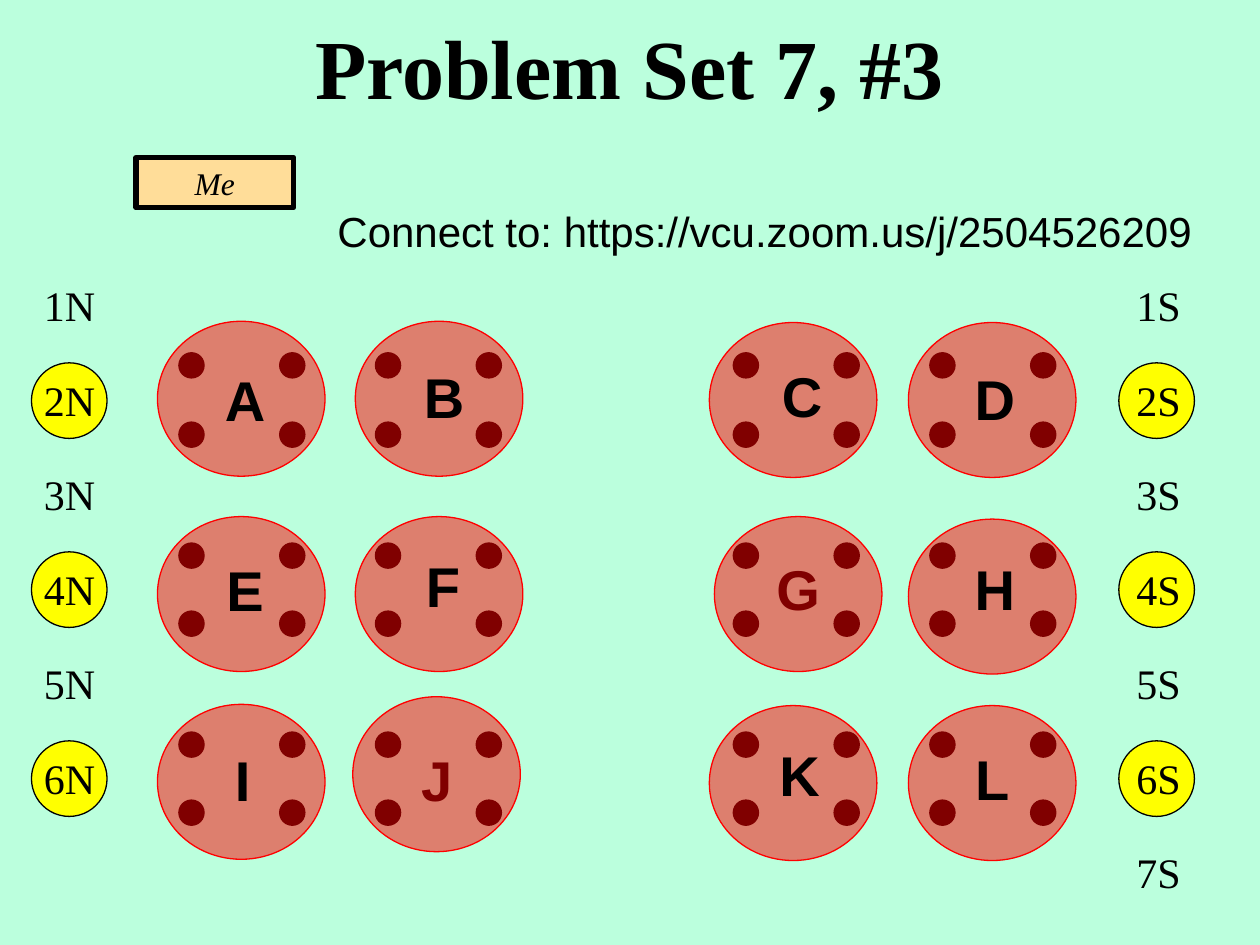
import dataclasses
import itertools

import lxml.etree
import pptx
import pptx.dml.color
import pptx.enum.shapes
import pptx.enum.text
import pptx.oxml.ns
import pptx.util

Inches = pptx.util.Inches
Pt = pptx.util.Pt
Shape = pptx.enum.shapes.MSO_SHAPE
Align = pptx.enum.text.PP_ALIGN
Anchor = pptx.enum.text.MSO_ANCHOR


@dataclasses.dataclass(frozen=True)
class Theme:
    back: str = "BBFFDD"
    ink: str = "000000"
    seat: str = "FFFF00"
    desk: str = "FFDD99"
    table: str = "FF0000"
    serif: str = "Times New Roman"
    sans: str = "Arial"
    title: int = 48
    letter: int = 32
    label: int = 24
    small: int = 18
    thin: float = 0.75
    thick: float = 3


def tint(code):
    return pptx.dml.color.RGBColor.from_string(code)


def write(shape, text, *, face, size, color, bold=False, slant=False,
          align=Align.LEFT, anchor=Anchor.TOP):
    frame = shape.text_frame
    frame.word_wrap = True
    frame.vertical_anchor = anchor
    para = frame.paragraphs[0]
    para.alignment = align
    run = para.add_run()
    run.text = text
    font = run.font
    font.name = face
    font.size = Pt(size)
    font.bold = bold
    font.italic = slant
    font.color.rgb = tint(color)


class Board:
    def __init__(self, slide, theme):
        self.slide = slide
        self.theme = theme
        fill = slide.background.fill
        fill.solid()
        fill.fore_color.rgb = tint(theme.back)

    def form(self, kind, box, fill, line, width, alpha=None):
        shape = self.slide.shapes.add_shape(kind, *map(Inches, box))
        shape.shadow.inherit = False
        shape.fill.solid()
        shape.fill.fore_color.rgb = tint(fill)
        shape.line.color.rgb = tint(line)
        shape.line.width = Pt(width)
        if alpha is not None:
            name = pptx.oxml.ns.qn
            color = shape._element.spPr.find(
                name("a:solidFill") + "/" + name("a:srgbClr"))
            lxml.etree.SubElement(color, name("a:alpha"), val=str(alpha * 1000))
        return shape

    def text(self, box, words, **style):
        shape = self.slide.shapes.add_textbox(*map(Inches, box))
        write(shape, words, **{"color": self.theme.ink, **style})

    def seat(self, left, top):
        t = self.theme
        self.form(Shape.OVAL, (left, top, 0.6, 0.6), t.seat, t.ink, t.thin)

    def dot(self, left, top):
        t = self.theme
        self.form(Shape.OVAL, (left, top, 0.2, 0.2), t.ink, t.ink, t.thin)

    def table(self, left, top):
        t = self.theme
        self.form(Shape.OVAL, (left, top, 1.33, 1.23), t.table, t.table,
                  t.thin, alpha=50)

    def letter(self, left, top, mark):
        t = self.theme
        self.text((left, top, 0.89, 0.64), mark, face=t.sans, size=t.letter,
                  bold=True, align=Align.CENTER)

    def label(self, left, top, words, width=0.67, face=None):
        t = self.theme
        self.text((left, top, width, 0.5), words, face=face or t.serif,
                  size=t.label)

    def desk(self, box, words):
        t = self.theme
        shape = self.form(Shape.RECTANGLE, box, t.desk, t.ink, t.thick)
        write(shape, words, face=t.serif, size=t.small, color=t.ink,
              slant=True, align=Align.CENTER, anchor=Anchor.MIDDLE)

    def title(self, box, words):
        t = self.theme
        self.text(box, words, face=t.serif, size=t.title, bold=True,
                  align=Align.CENTER)


TABLES = {
    "A": (1.25, 2.55), "B": (2.82, 2.55), "C": (5.63, 2.56), "D": (7.21, 2.56),
    "E": (1.25, 4.1), "F": (2.82, 4.1), "G": (5.67, 4.1), "H": (7.21, 4.12),
    "I": (1.25, 5.59), "J": (2.8, 5.53), "K": (5.63, 5.6), "L": (7.21, 5.6),
}
LETTERS = {
    "A": (1.5, 2.85), "B": (3.08, 2.83), "C": (5.92, 2.82), "D": (7.45, 2.84),
    "E": (1.5, 4.36), "F": (3.07, 4.33), "G": (5.89, 4.35), "H": (7.45, 4.35),
    "I": (1.48, 5.87), "J": (3.02, 5.87), "K": (5.9, 5.83), "L": (7.43, 5.86),
}
SHADED = "GJ"
SIDES = (("N", 0.25, 0.25, 6), ("S", 8.88, 8.92, 7))
DOT_LEFTS = [side + pair + seat for side, pair, seat in
             itertools.product((1.42, 5.82), (0, 1.56), (0, 0.8))]
DOT_TOPS = (2.8, 3.35, 4.31, 4.85, 5.81, 6.35)


def main():
    deck = pptx.Presentation()
    deck.slide_width = Inches(10)
    deck.slide_height = Inches(7.5)
    board = Board(deck.slides.add_slide(deck.slide_layouts[6]), Theme())

    for side, seat_left, left, count in SIDES:
        for row in range(3):
            board.seat(seat_left, 2.88 + 1.5 * row)
        for row in range(count):
            board.label(left, 2.17 + 0.75 * row, f"{row + 1}{side}")
    board.desk((1.08, 1.25, 1.25, 0.4), "Me")

    for top, left in itertools.product(DOT_TOPS, DOT_LEFTS):
        board.dot(left, top)
    for mark, place in TABLES.items():
        if mark not in SHADED:
            board.table(*place)
    for mark, place in LETTERS.items():
        board.letter(*place, mark)
    for mark in SHADED:
        board.table(*TABLES[mark])

    board.label(2.58, 1.58, "Connect to: https://vcu.zoom.us/j/2504526209",
                width=7.17, face=board.theme.sans)
    board.title((0.87, 0.07, 8.25, 0.91), "Problem Set 7, #3")
    deck.save("out.pptx")


if __name__ == "__main__":
    main()
